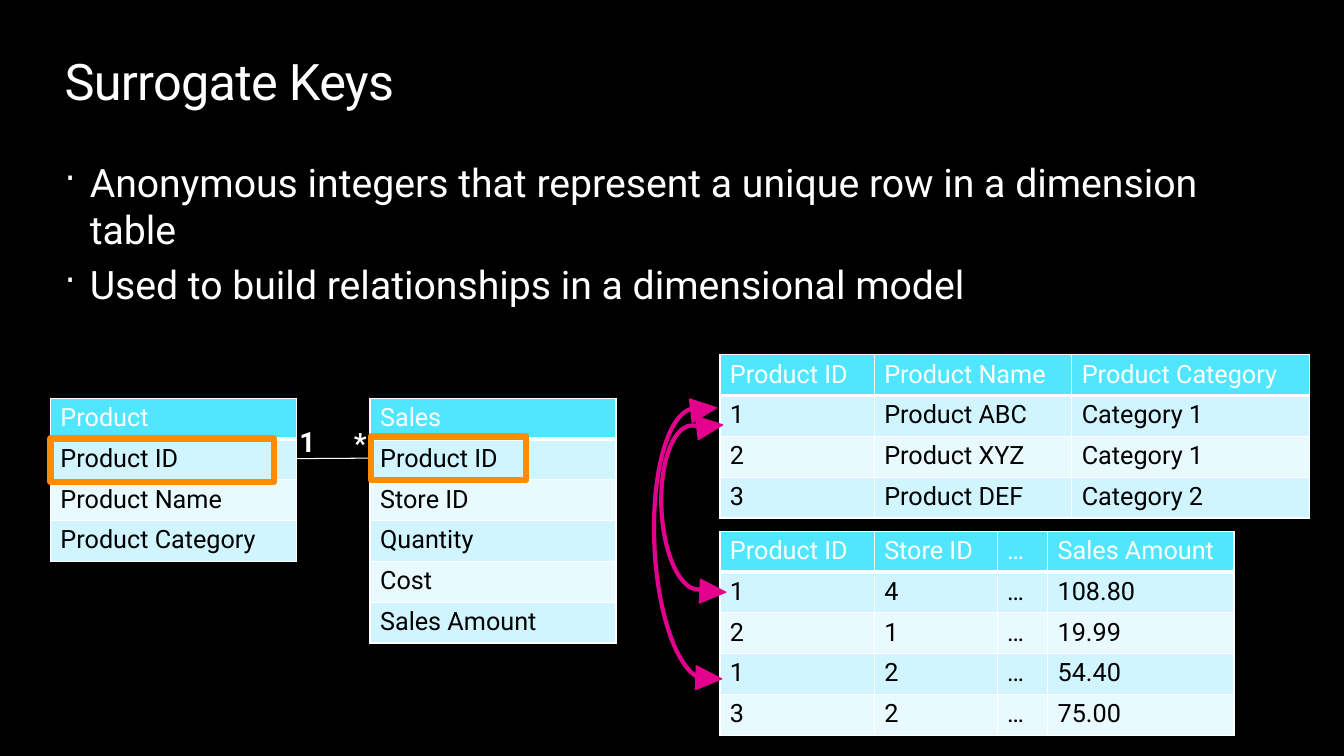
from lxml import etree
from pptx import Presentation
from pptx.dml.color import RGBColor
from pptx.enum.shapes import MSO_CONNECTOR, MSO_SHAPE
from pptx.enum.text import MSO_ANCHOR, MSO_AUTO_SIZE, PP_ALIGN
from pptx.oxml.ns import qn
from pptx.util import Inches, Pt

LINE = MSO_CONNECTOR.STRAIGHT
RECT, ARC, HEAD = MSO_SHAPE.RECTANGLE, MSO_SHAPE.ARC, MSO_SHAPE.ISOSCELES_TRIANGLE
TOP, LEFT, FIXED = MSO_ANCHOR.TOP, PP_ALIGN.LEFT, MSO_AUTO_SIZE.NONE
LEFT_SIDE = 1

COLORS = {
    "back": "000000",
    "white": "FFFFFF",
    "black": "000000",
    "header": "50E6FF",
    "odd": "D0F5FF",
    "even": "E9FAFF",
    "key": "FF8C00",
    "link": "E3008C",
}
FONT = "Roboto"
ROW = 0.405


def color(name):
    return RGBColor.from_string(COLORS[name])


class Deck:
    """Holds the presentation, its style and the current slide."""

    def __init__(self):
        self.prs = Presentation()
        self.prs.slide_width, self.prs.slide_height = Inches(13.33), Inches(7.5)
        self.slide = self.prs.slides.add_slide(self.prs.slide_layouts[5])
        fill = self.slide.background.fill
        fill.solid()
        fill.fore_color.rgb = color("back")

    def run(self, para, text, size, tint="white", bold=False):
        run = para.add_run()
        run.text = text
        font = run.font
        font.name, font.size, font.bold = FONT, Pt(size), bold
        font.color.rgb = color(tint)
        return run

    def frame(self, shape):
        """Clear the margins of a text shape and return its text frame."""
        frame = shape.text_frame
        frame.margin_left = frame.margin_top = 0
        frame.margin_right = frame.margin_bottom = 0
        frame.word_wrap, frame.auto_size = True, FIXED
        frame.vertical_anchor = TOP
        return frame

    def title(self, text, box):
        shape = self.slide.shapes.title
        shape.left, shape.top, shape.width, shape.height = map(Inches, box)
        para = self.frame(shape).paragraphs[0]
        para.alignment = LEFT
        self.run(para, text, 36).font._element.set("spc", "-50")

    def text(self, text, box, size, bold=False):
        shape = self.slide.shapes.add_textbox(*map(Inches, box))
        self.run(self.frame(shape).paragraphs[0], text, size, bold=bold)

    def bullets(self, items, box, size):
        shape = self.slide.shapes.add_textbox(*map(Inches, box))
        frame = self.frame(shape)
        for i, item in enumerate(items):
            para = frame.add_paragraph() if i else frame.paragraphs[0]
            para.space_before = Pt(size * 0.2)
            props = para._p.get_or_add_pPr()
            props.set("marL", str(Inches(0.25)))
            props.set("indent", str(-Inches(0.25)))
            etree.SubElement(props, qn("a:buSzPct")).set("val", "90000")
            etree.SubElement(props, qn("a:buChar")).set("char", "·")
            self.run(para, item, size)

    def border(self, cell, side, width):
        props = cell._tc.get_or_add_tcPr()
        line = etree.SubElement(props, qn("a:ln" + side), w=str(Pt(width)))
        fill = etree.SubElement(line, qn("a:solidFill"))
        etree.SubElement(fill, qn("a:srgbClr"), val=COLORS["white"])

    def table(self, left, top, widths, rows):
        """Draw a table with a header row and banded rows below it."""
        box = left, top, sum(widths), ROW * len(rows)
        shape = self.slide.shapes.add_table(
            len(rows), len(widths), *map(Inches, box))
        table = shape.table
        for col, width in zip(table.columns, widths):
            col.width = Inches(width)
        for i, row in enumerate(rows):
            table.rows[i].height = Inches(ROW)
            band = "header" if i == 0 else "odd" if i % 2 else "even"
            for j, value in enumerate(row):
                cell = table.cell(i, j)
                for side in "LRTB":
                    self.border(cell, side, 3 if i == 0 and side == "B" else 1)
                cell.fill.solid()
                cell.fill.fore_color.rgb = color(band)
                tint = "black" if i else "white"
                self.run(cell.text_frame.paragraphs[0], value, 18, tint)

    def shape(self, kind, box, tint, width, fill=False, turn=0, home=None):
        """Draw a preset shape on the slide or in the group given as home."""
        shapes = (home or self.slide).shapes
        shape = shapes.add_shape(kind, *map(Inches, box))
        shape.shadow.inherit = False
        shape.rotation = turn
        shape.line.color.rgb = color(tint)
        shape.line.width = Pt(width)
        if fill:
            shape.fill.solid()
            shape.fill.fore_color.rgb = color(tint)
        else:
            shape.fill.background()
        return shape

    def line(self, start, end, tint, width):
        line = self.slide.shapes.add_connector(LINE, *map(Inches, start + end))
        line.line.color.rgb = color(tint)
        line.line.width = Pt(width)
        etree.SubElement(line._element.spPr, qn("a:effectLst"))
        return line

    def link(self, box, angles, upper, lower):
        """Draw a curved arrow with a head at its upper and lower end."""
        group = self.slide.shapes.add_group_shape()
        arc = self.shape(ARC, box, "link", 3, turn=177.4, home=group)
        arc.adjustments[0], arc.adjustments[1] = angles
        for spot, turn in ((upper, 83.3), (lower, 92.5)):
            self.shape(HEAD, spot + (0.24, 0.26), "link", 0.75, True, turn, group)


def main():
    deck = Deck()
    deck.title("Surrogate Keys", (0.64, 0.5, 12.05, 0.61))
    deck.bullets(
        ["Anonymous integers that represent a unique row in a dimension table",
         "Used to build relationships in a dimensional model"],
        (0.64, 1.57, 12.05, 5.29), 28)

    product = ["Product", "Product ID", "Product Name", "Product Category"]
    sales = ["Sales", "Product ID", "Store ID", "Quantity", "Cost", "Sales Amount"]
    for left, names in ((0.5, product), (3.67, sales)):
        deck.table(left, 3.95, [2.44], [[name] for name in names])

    join = deck.line((3.68, 4.55), (2.94, 4.55), "white", 0.75)
    deck.text("*", (3.51, 4.22, 0.16, 0.34), 20, True)
    deck.text("1", (2.97, 4.21, 0.32, 0.34), 20, True)
    deck.shape(RECT, (0.5, 4.35, 2.22, 0.43), "key", 4.5)
    key = deck.shape(RECT, (3.68, 4.33, 1.54, 0.43), "key", 4.5)
    join.begin_connect(key, LEFT_SIDE)

    deck.table(7.14, 3.52, [1.53, 1.96, 2.36], [
        product[1:],
        ["1", "Product ABC", "Category 1"],
        ["2", "Product XYZ", "Category 1"],
        ["3", "Product DEF", "Category 2"],
    ])
    deck.table(7.14, 5.27, [1.53, 1.22, 0.5, 1.85], [
        ["Product ID", "Store ID", "…", "Sales Amount"],
        ["1", "4", "…", "108.80"],
        ["2", "1", "…", "19.99"],
        ["1", "2", "…", "54.40"],
        ["3", "2", "…", "75.00"],
    ])

    deck.link((6.49, 4.05, 0.92, 2.69), (162, 56.2), (6.86, 3.93), (6.91, 6.6))
    deck.link((6.56, 4.22, 0.67, 1.63), (160.92, 58.69), (6.92, 4.1), (6.95, 5.74))
    deck.prs.save("out.pptx")


if __name__ == "__main__":
    main()
